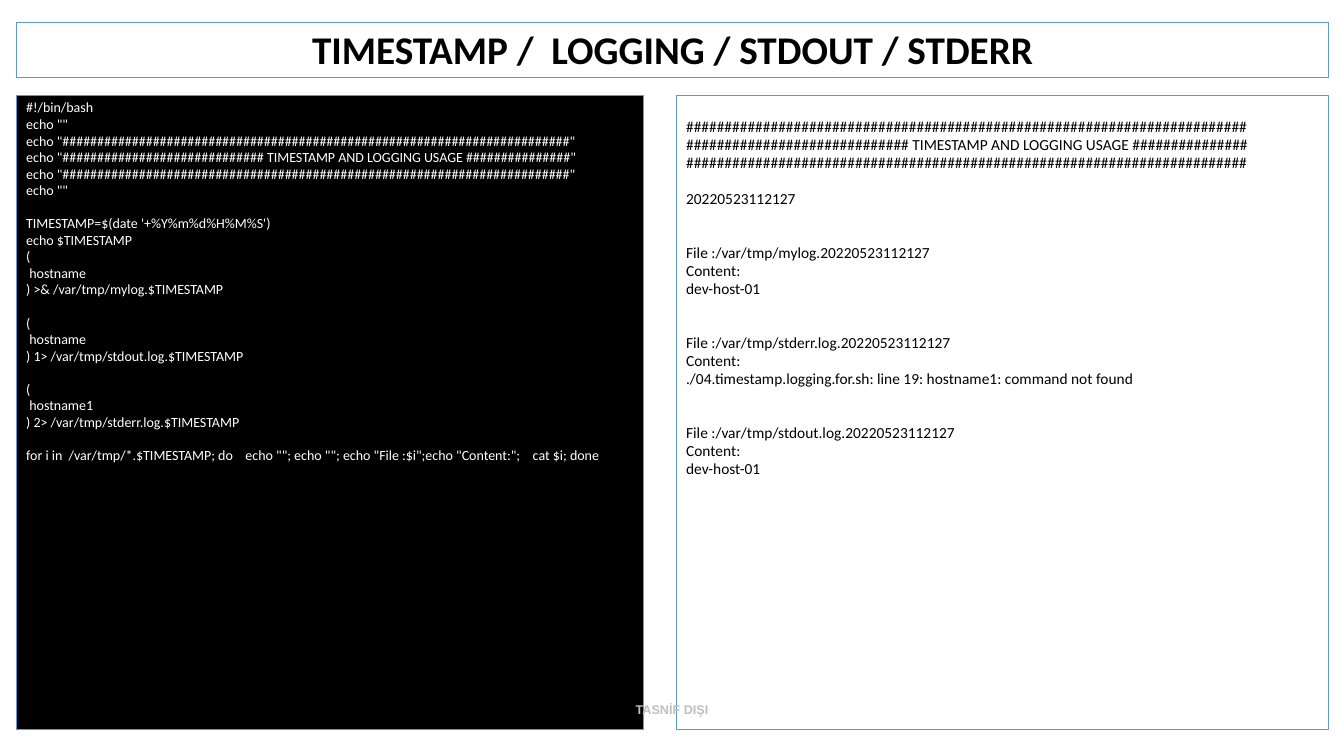
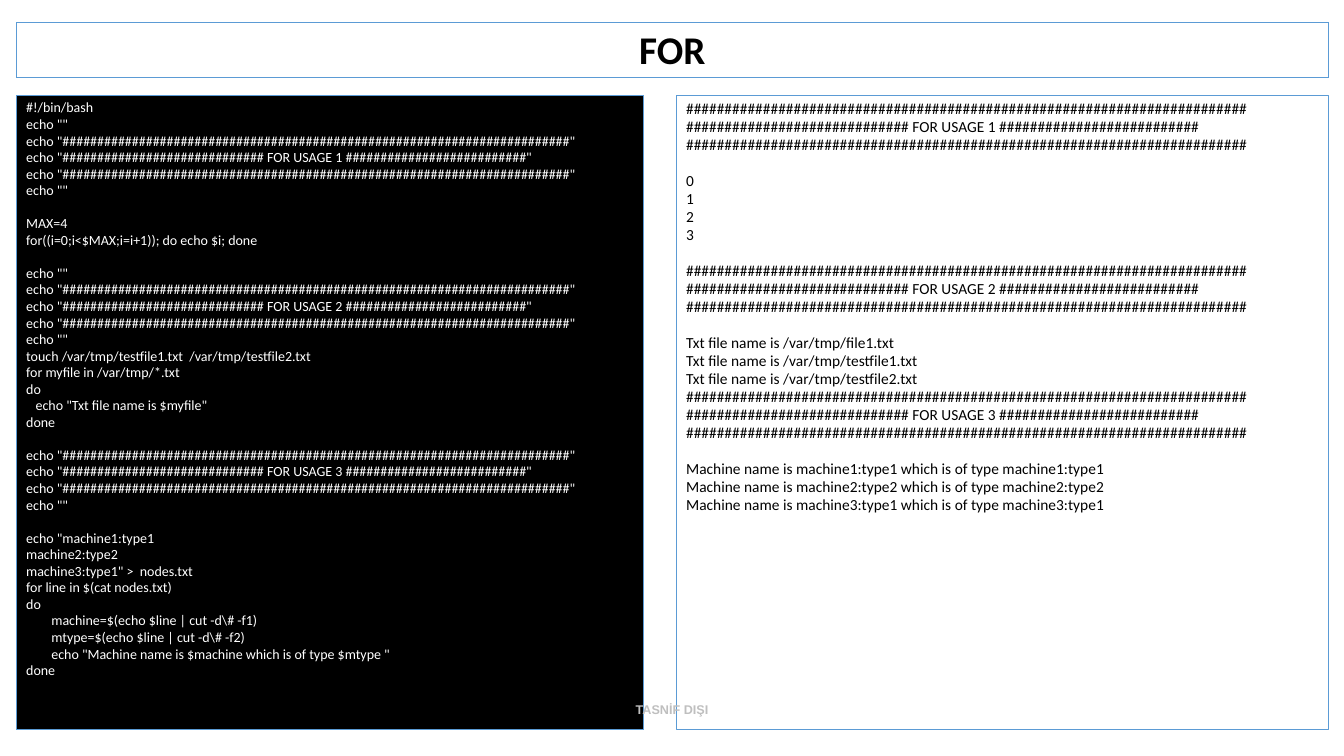
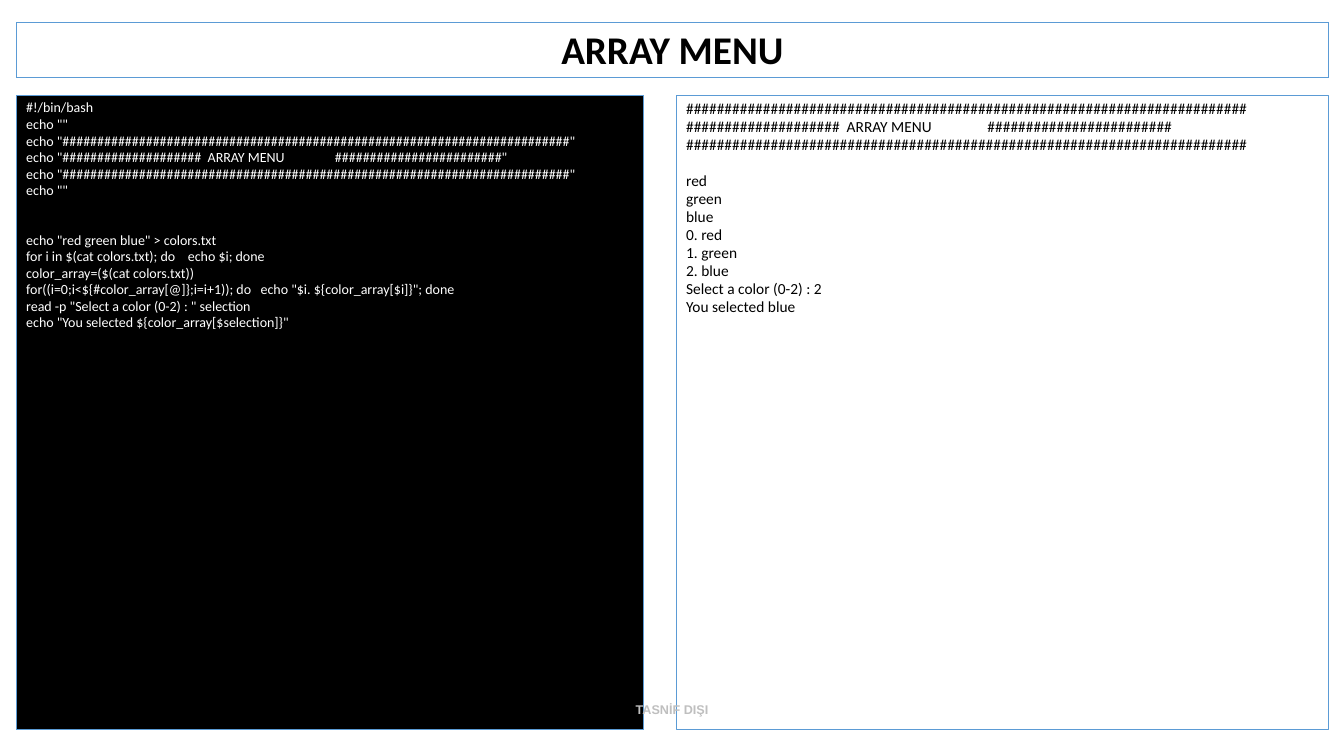
from pptx import Presentation
from pptx.dml.color import RGBColor
from pptx.enum.shapes import MSO_SHAPE
from pptx.enum.text import MSO_ANCHOR, MSO_AUTO_SIZE, PP_ALIGN
from pptx.util import Pt

RECTANGLE = MSO_SHAPE.RECTANGLE
TOP, MIDDLE, BOTTOM = MSO_ANCHOR.TOP, MSO_ANCHOR.MIDDLE, MSO_ANCHOR.BOTTOM
LEFT, CENTER = PP_ALIGN.LEFT, PP_ALIGN.CENTER
NO_AUTOFIT = MSO_AUTO_SIZE.NONE

BLACK = RGBColor(0x00, 0x00, 0x00)
WHITE = RGBColor(0xFF, 0xFF, 0xFF)
BORDER_BLUE = RGBColor(0x5B, 0x9B, 0xD5)
FOOTER_GRAY = RGBColor(0xBF, 0xBF, 0xBF)

SLIDE_W, SLIDE_H = 960, 540
TITLE_BOX = (11.5, 15.8, 937.5, 39.6)
SCRIPT_BOX = (11.5, 68.4, 448.5, 453)
OUTPUT_BOX = (483, 68.4, 466, 453)
FOOTER_BOX = (0, 500, SLIDE_W, 14)
INSET_TOP = 3.6
LINE_SPACING = 0.9
LINE_GAP = 1

RULE = "#" * 73


def banner(heading, before=29, after=26):
    """Return the three lines of a heading framed by hash signs."""
    return [RULE, f"{'#' * before} {heading} {'#' * after}", RULE]


def echo(lines):
    """Return the shell commands that print the lines."""
    return [f'echo "{line}"' for line in lines]


LOGGING_BANNER = banner("TIMESTAMP AND LOGGING USAGE", after=15)
FOR_BANNERS = [banner(f"FOR USAGE {number}") for number in (1, 2, 3)]
MENU_BANNER = banner(" ARRAY MENU               ", before=20, after=24)

LESSONS = [
    (
        "TIMESTAMP /  LOGGING / STDOUT / STDERR",
        [
            "#!/bin/bash",
            *echo(["", *LOGGING_BANNER, ""]),
            "",
            "TIMESTAMP=$(date '+%Y%m%d%H%M%S')",
            "echo $TIMESTAMP",
            "(",
            " hostname",
            ") >& /var/tmp/mylog.$TIMESTAMP",
            "",
            "(",
            " hostname",
            ") 1> /var/tmp/stdout.log.$TIMESTAMP",
            "",
            "(",
            " hostname1",
            ") 2> /var/tmp/stderr.log.$TIMESTAMP",
            "",
            'for i in  /var/tmp/*.$TIMESTAMP; do    echo ""; echo ""; '
            'echo "File :$i";echo "Content:";    cat $i; done',
        ],
        [
            "",
            *LOGGING_BANNER,
            "",
            "20220523112127",
            "",
            "",
            "File :/var/tmp/mylog.20220523112127",
            "Content:",
            "dev-host-01",
            "",
            "",
            "File :/var/tmp/stderr.log.20220523112127",
            "Content:",
            "./04.timestamp.logging.for.sh: line 19: hostname1: command not found",
            "",
            "",
            "File :/var/tmp/stdout.log.20220523112127",
            "Content:",
            "dev-host-01",
        ],
    ),
    (
        "FOR",
        [
            "#!/bin/bash",
            *echo(["", *FOR_BANNERS[0], ""]),
            "",
            "MAX=4",
            "for((i=0;i<$MAX;i=i+1)); do echo $i; done",
            "",
            *echo(["", *FOR_BANNERS[1], ""]),
            "touch /var/tmp/testfile1.txt  /var/tmp/testfile2.txt",
            "for myfile in /var/tmp/*.txt",
            "do",
            '   echo "Txt file name is $myfile"',
            "done",
            "",
            *echo([*FOR_BANNERS[2], ""]),
            "",
            'echo "machine1:type1',
            "machine2:type2",
            'machine3:type1" >  nodes.txt',
            "for line in $(cat nodes.txt)",
            "do",
            "        machine=$(echo $line | cut -d\\# -f1)",
            "        mtype=$(echo $line | cut -d\\# -f2)",
            '        echo "Machine name is $machine which is of type $mtype "',
            "done",
        ],
        [
            *FOR_BANNERS[0],
            "",
            *[str(count) for count in range(4)],
            "",
            *FOR_BANNERS[1],
            "",
            *[f"Txt file name is /var/tmp/{name}.txt"
              for name in ("file1", "testfile1", "testfile2")],
            *FOR_BANNERS[2],
            "",
            *[f"Machine name is {node} which is of type {node}"
              for node in ("machine1:type1", "machine2:type2", "machine3:type1")],
        ],
    ),
    (
        "ARRAY MENU",
        [
            "#!/bin/bash",
            *echo(["", *MENU_BANNER, ""]),
            "",
            "",
            'echo "red green blue" > colors.txt',
            "for i in $(cat colors.txt); do    echo $i; done",
            "color_array=($(cat colors.txt))",
            'for((i=0;i<${#color_array[@]};i=i+1)); do   echo "$i. ${color_array[$i]}"; done',
            'read -p "Select a color (0-2) : " selection',
            'echo "You selected ${color_array[$selection]}"',
        ],
        [
            *MENU_BANNER,
            "",
            "red",
            "green",
            "blue",
            "0. red",
            "1. green",
            "2. blue",
            "Select a color (0-2) : 2",
            "You selected blue",
        ],
    ),
]


def place(shape, box):
    """Move and size a shape to a box given in points."""
    shape.left, shape.top, shape.width, shape.height = map(Pt, box)


def outline(shape):
    """Give a shape the shared hairline border."""
    shape.line.color.rgb = BORDER_BLUE
    shape.line.width = Pt(0)


def set_frame(frame, anchor):
    """Set the wrapping, fitting and anchoring of a text frame."""
    frame.word_wrap = True
    frame.auto_size = NO_AUTOFIT
    frame.vertical_anchor = anchor


def style(paragraph, size, color, align=LEFT, bold=False, face="Calibri"):
    """Set the alignment and font of a paragraph."""
    paragraph.alignment = align
    font = paragraph.font
    font.name, font.size, font.bold = face, Pt(size), bold
    font.color.rgb = color


def write_listing(frame, lines, size, color, pitch):
    """Write code lines, turning empty lines into space before the next."""
    set_frame(frame, TOP)
    gap, started = 0, False
    for line in lines:
        if not line:
            gap += pitch
            continue
        if started:
            paragraph = frame.add_paragraph()
            paragraph.space_before = Pt(LINE_GAP + gap)
        else:
            paragraph = frame.paragraphs[0]
            paragraph.space_before = Pt(0)
            frame.margin_top = Pt(INSET_TOP + gap)
        paragraph.text = line
        paragraph.line_spacing = LINE_SPACING
        style(paragraph, size, color)
        gap, started = 0, True


def add_title(slide, box, heading):
    """Fill the bordered title bar."""
    title = slide.shapes.title
    place(title, box)
    outline(title)
    title.text = heading
    set_frame(title.text_frame, BOTTOM)
    paragraph = title.text_frame.paragraphs[0]
    paragraph.line_spacing = LINE_SPACING
    style(paragraph, 28, BLACK, CENTER, True)


def add_script(slide, box, lines):
    """Fill the black panel with the shell script."""
    script = slide.placeholders[1]
    place(script, box)
    script.fill.solid()
    script.fill.fore_color.rgb = BLACK
    outline(script)
    write_listing(script.text_frame, lines, 10, WHITE, 11.8)


def add_output(slide, box, lines):
    """Add the bordered panel with the script's output."""
    output = slide.shapes.add_shape(RECTANGLE, *map(Pt, box))
    output.shadow.inherit = False
    output.fill.background()
    outline(output)
    write_listing(output.text_frame, lines, 11, BLACK, 12.9)


def add_footer(slide, box):
    """Add the classification mark at the foot of the slide."""
    footer = slide.shapes.add_textbox(*map(Pt, box)).text_frame
    set_frame(footer, MIDDLE)
    footer.margin_top = footer.margin_bottom = 0
    footer.text = "TASNİF DIŞI"
    style(footer.paragraphs[0], 9, FOOTER_GRAY, CENTER, True, "Arial")


def add_lesson(deck, heading, script_lines, output_lines):
    """Build one slide with a script and its output side by side."""
    slide = deck.slides.add_slide(deck.slide_layouts[0])
    add_title(slide, TITLE_BOX, heading)
    add_script(slide, SCRIPT_BOX, script_lines)
    add_output(slide, OUTPUT_BOX, output_lines)
    add_footer(slide, FOOTER_BOX)


def main():
    """Build and save the deck."""
    deck = Presentation()
    deck.slide_width, deck.slide_height = Pt(SLIDE_W), Pt(SLIDE_H)
    for lesson in LESSONS:
        add_lesson(deck, *lesson)
    deck.save("out.pptx")


if __name__ == "__main__":
    main()
